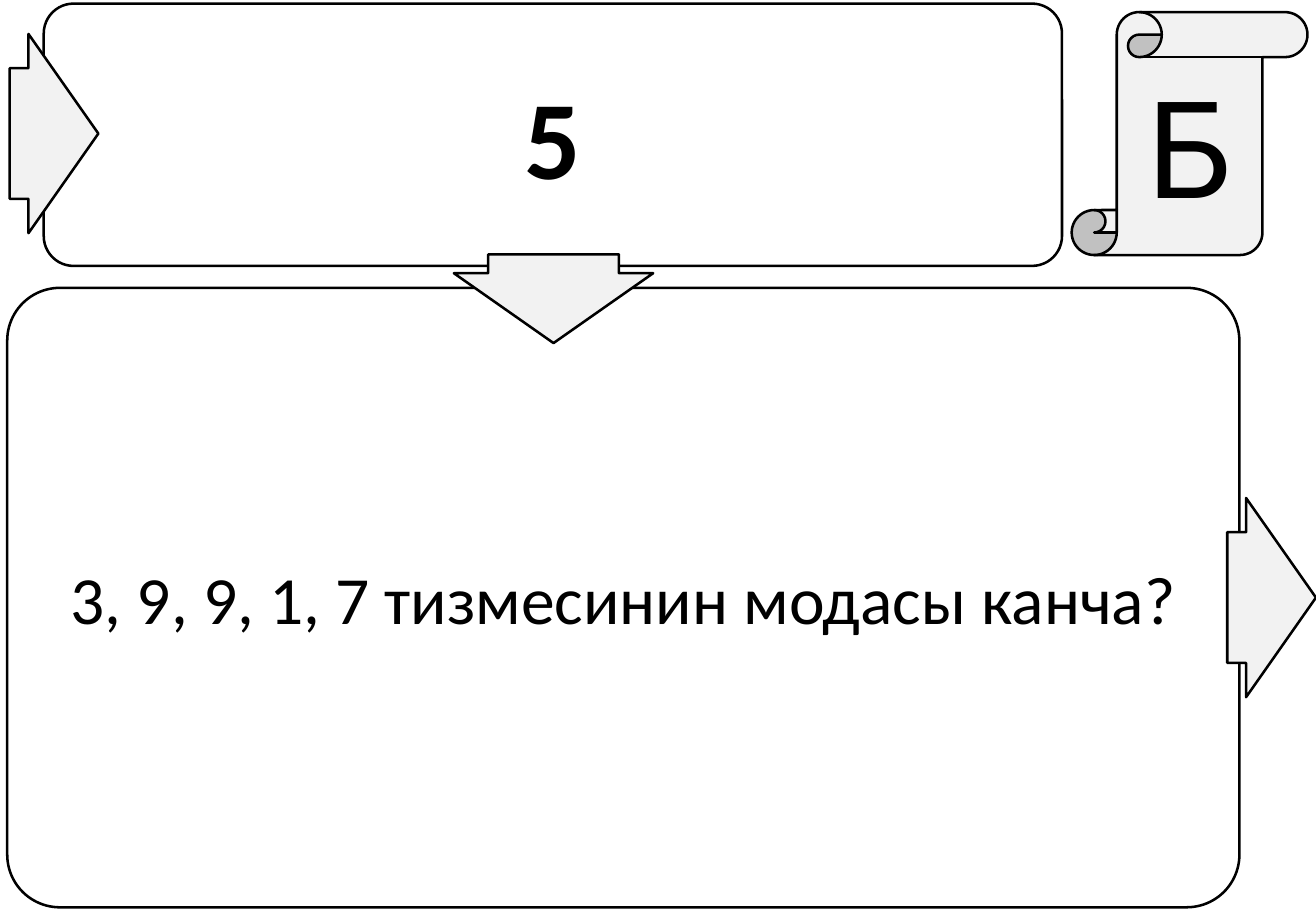
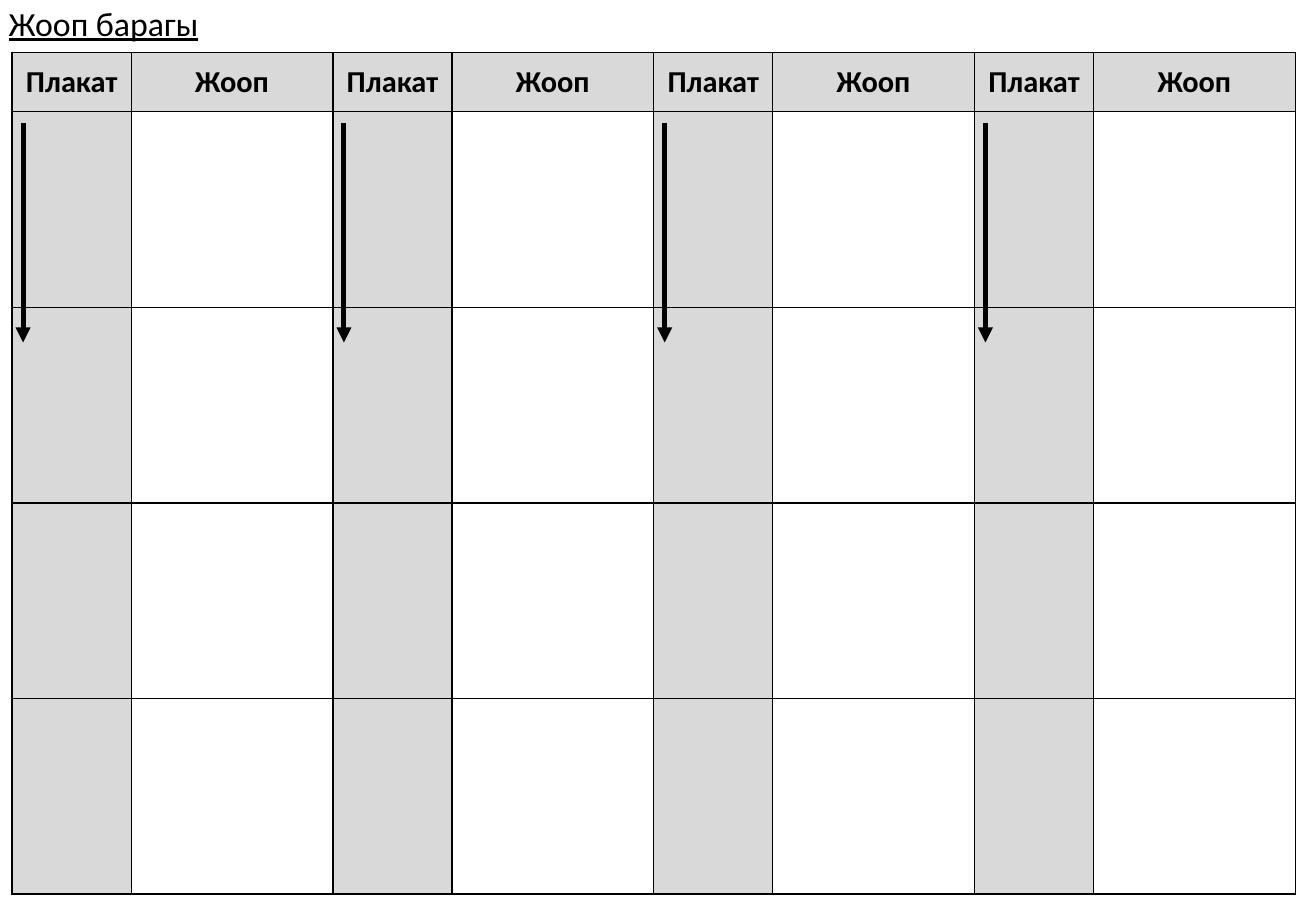
"""Builds a question poster and its answer sheet."""
from dataclasses import dataclass

from lxml.etree import SubElement
from pptx import Presentation
from pptx.dml.color import RGBColor
from pptx.enum.shapes import MSO_CONNECTOR as Connector, MSO_SHAPE as Shape
from pptx.enum.text import MSO_ANCHOR as Anchor, MSO_AUTO_SIZE as AutoSize, PP_ALIGN as Align
from pptx.oxml.ns import qn
from pptx.util import Inches, Pt


@dataclass(frozen=True)
class Theme:
    ink: str = "000000"
    paper: str = "FFFFFF"
    pale: str = "F2F2F2"
    shade: str = "D9D9D9"
    font: str = "Calibri"
    letter_font: str = "Roboto"
    question: int = 40
    answer: int = 66
    letter: int = 80
    title: int = 20
    header: int = 18
    outline: float = 1.5
    arrow: float = 3
    border: float = 1


THEME = Theme()

QUESTION = "3, 9, 9, 1, 7 тизмесинин модасы канча?"
ANSWER = "5"
LETTER = "Б"
SHEET_TITLE = "Жооп барагы"
HEADERS = ("Плакат", "Жооп")

ARROW_SIZE = (0.73, 1.64)
ARROW_ADJUST = (0.656, 0.788)
ENTRY_ARROW = (0.08, 0.28)
DOWN_ARROW = (4.19, 1.64)
EXIT_ARROW = (10.1, 4.1)

PAIRS = 4
PAIR_WIDTHS = (0.98, 1.66)
ROW_HEIGHTS = (0.49,) + (1.61,) * 4
TABLE_LEFT, TABLE_TOP = 0.1, 0.43
ARROW_INSET, ARROW_TOP, ARROW_BOTTOM = 0.09, 1.01, 2.82


def color(code):
    return RGBColor.from_string(code)


def write(frame, text, size, font=THEME.font, bold=False, underline=False, align=Align.CENTER):
    """Puts one formatted paragraph into a text frame."""
    frame.text = text
    para = frame.paragraphs[0]
    para.alignment = align
    para.font.name = font
    para.font.size = Pt(size)
    para.font.bold = bold
    para.font.underline = underline
    para.font.color.rgb = color(THEME.ink)


def add_outlined(page, kind, place, adjust, fill=None):
    """Adds a black-outlined shape, unfilled unless a fill is given."""
    shape = page.shapes.add_shape(kind, *map(Inches, place))
    shape.shadow.inherit = False
    for index, value in enumerate(adjust):
        shape.adjustments[index] = value
    if fill:
        shape.fill.solid()
        shape.fill.fore_color.rgb = color(fill)
    else:
        shape.fill.background()
    shape.line.color.rgb = color(THEME.ink)
    shape.line.width = Pt(THEME.outline)
    shape.text_frame.vertical_anchor = Anchor.MIDDLE
    return shape


def add_block_arrow(page, corner, rotation=0):
    """Adds a pale block arrow."""
    arrow = add_outlined(page, Shape.RIGHT_ARROW, corner + ARROW_SIZE, ARROW_ADJUST, THEME.pale)
    arrow.rotation = rotation


def add_down_line(page, x):
    """Adds a vertical line with an arrowhead at its lower end."""
    line = page.shapes.add_connector(
        Connector.STRAIGHT, Inches(x), Inches(ARROW_TOP), Inches(x), Inches(ARROW_BOTTOM))
    line.line.color.rgb = color(THEME.ink)
    line.line.width = Pt(THEME.arrow)
    SubElement(line.line._get_or_add_ln(), qn("a:tailEnd"), type="triangle")
    SubElement(line._element.spPr, qn("a:effectLst"))


def format_cell(cell, fill):
    """Gives a cell its borders and fill."""
    properties = cell._tc.get_or_add_tcPr()
    for side in ("lnL", "lnR", "lnT", "lnB"):
        edge = SubElement(properties, qn(f"a:{side}"), w=str(Pt(THEME.border)))
        SubElement(SubElement(edge, qn("a:solidFill")), qn("a:srgbClr"), val=THEME.ink)
    cell.fill.solid()
    cell.fill.fore_color.rgb = color(fill)
    cell.vertical_anchor = Anchor.MIDDLE
    cell.margin_left = cell.margin_right = Inches(0.05)


def build_poster(deck):
    """Builds the poster with an answer, a question and a letter."""
    page = deck.slides.add_slide(deck.slide_layouts[6])
    question = add_outlined(page, Shape.ROUNDED_RECTANGLE, (0.06, 2.37, 10.14, 5.1), (0.085,))
    write(question.text_frame, QUESTION, THEME.question)
    answer = add_outlined(page, Shape.ROUNDED_RECTANGLE, (0.36, 0.03, 8.38, 2.16), (0.114,))
    write(answer.text_frame, ANSWER, THEME.answer, bold=True)
    add_block_arrow(page, DOWN_ARROW, rotation=90)
    scroll = add_outlined(page, Shape.VERTICAL_SCROLL, (8.82, 0.1, 1.94, 2), (0.191,), THEME.pale)
    write(scroll.text_frame, LETTER, THEME.letter, THEME.letter_font)
    add_block_arrow(page, EXIT_ARROW)
    add_block_arrow(page, ENTRY_ARROW)


def build_answer_sheet(deck):
    """Builds the answer sheet with its table and reading arrows."""
    page = deck.slides.add_slide(deck.slide_layouts[5])
    widths = PAIR_WIDTHS * PAIRS
    table = page.shapes.add_table(
        len(ROW_HEIGHTS), len(widths), Inches(TABLE_LEFT), Inches(TABLE_TOP),
        Inches(sum(widths)), Inches(sum(ROW_HEIGHTS))).table
    table.horz_banding = False
    for column, width in zip(table.columns, widths):
        column.width = Inches(width)
    for row_index, (row, height) in enumerate(zip(table.rows, ROW_HEIGHTS)):
        row.height = Inches(height)
        for index, cell in enumerate(row.cells):
            kind = index % len(HEADERS)
            shaded = row_index == 0 or kind == 0
            format_cell(cell, THEME.shade if shaded else THEME.paper)
            if row_index == 0:
                write(cell.text_frame, HEADERS[kind], THEME.header, bold=True)

    title = page.shapes.title
    title.left, title.top, title.width, title.height = map(Inches, (-0.03, -0.03, 1.77, 0.44))
    frame = title.text_frame
    frame.word_wrap = False
    frame.auto_size = AutoSize.NONE
    frame.vertical_anchor = Anchor.TOP
    write(frame, SHEET_TITLE, THEME.title, underline=True, align=Align.LEFT)

    for pair in range(PAIRS):
        add_down_line(page, TABLE_LEFT + ARROW_INSET + pair * sum(PAIR_WIDTHS))


def main():
    deck = Presentation()
    deck.slide_width, deck.slide_height = Inches(10.83), Inches(7.5)
    build_poster(deck)
    build_answer_sheet(deck)
    deck.save("out.pptx")


if __name__ == "__main__":
    main()
